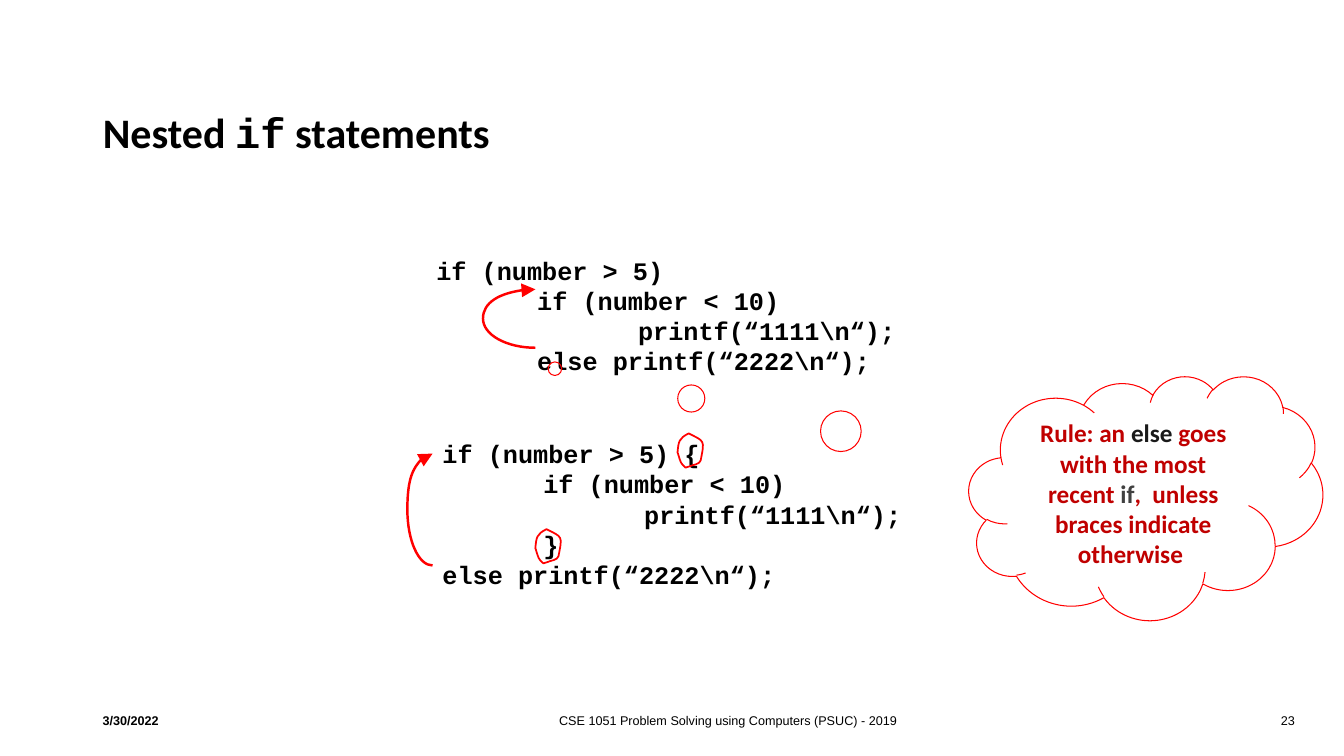
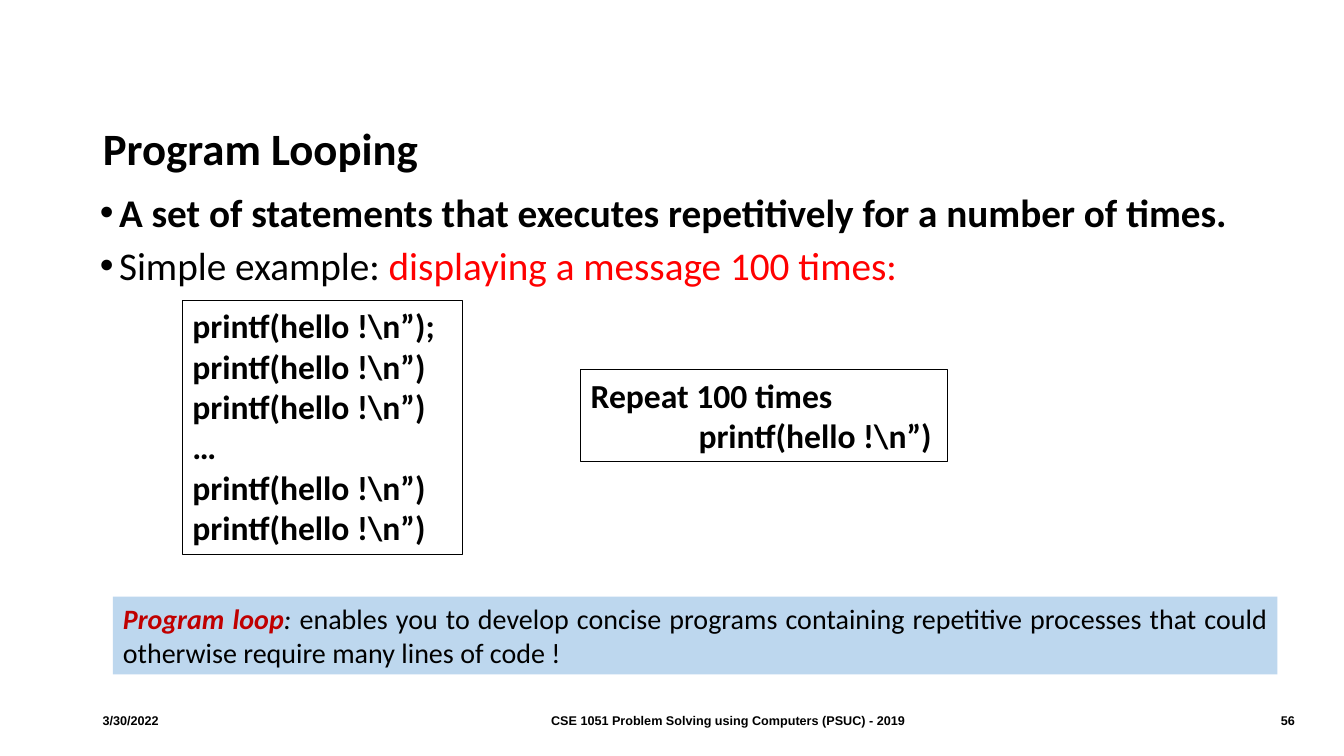
from dataclasses import dataclass

from lxml import etree
from pptx import Presentation
from pptx.dml.color import RGBColor
from pptx.enum.shapes import MSO_SHAPE
from pptx.enum.text import MSO_ANCHOR, MSO_AUTO_SIZE, PP_ALIGN
from pptx.oxml.ns import qn
from pptx.shapes.autoshape import Shape
from pptx.slide import Slide
from pptx.util import Inches, Pt

BLACK = RGBColor(0x00, 0x00, 0x00)
RED = RGBColor(0xFF, 0x00, 0x00)
DARK_RED = RGBColor(0xC0, 0x00, 0x00)
NEAR_BLACK = RGBColor(0x1A, 0x1A, 0x1A)
GREY = RGBColor(0x40, 0x40, 0x40)
PALE_BLUE = RGBColor(0xBD, 0xD7, 0xEE)

SANS, FOOTER_FONT, MONO = "Calibri", "Arial", "Courier New"
LEFT, CENTER, RIGHT, JUSTIFY = PP_ALIGN.LEFT, PP_ALIGN.CENTER, PP_ALIGN.RIGHT, PP_ALIGN.JUSTIFY
TOP, MIDDLE = MSO_ANCHOR.TOP, MSO_ANCHOR.MIDDLE
NO_AUTOSIZE = MSO_AUTO_SIZE.NONE
RECTANGLE, CLOUD = MSO_SHAPE.RECTANGLE, MSO_SHAPE.CLOUD_CALLOUT

TITLE_ONLY, TITLE_AND_BODY = 5, 1

Point = tuple[float, float]
Segment = tuple[Point, Point, Point]


@dataclass(frozen=True)
class Box:
    left: float
    top: float
    width: float
    height: float


@dataclass(frozen=True)
class Run:
    text: str
    color: RGBColor | None = None
    font: str | None = None
    bold: bool | None = None
    italic: bool = False


@dataclass(frozen=True)
class Line:
    runs: tuple[Run, ...]
    indent: float = 0


@dataclass(frozen=True)
class Curve:
    start: Point
    segments: tuple[Segment, ...]
    closed: bool


ELSE_ARROW = Curve((1, 1), (
    ((0.45, 1), (0, 0.78), (0, 0.5)),
    ((0, 0.22), (0.45, 0), (1, 0)),
), False)
BRACE_RING = Curve((0.41, 0), (
    ((1, 0.24), (1, 0.18), (0.85, 0.79)),
    ((0.81, 0.91), (0.56, 0.91), (0.41, 0.97)),
    ((0.37, 0.97), (0.3, 1), (0.3, 1)),
    ((0.11, 0.88), (0.11, 0.82), (0.04, 0.65)),
    ((0.04, 0.62), (0, 0.56), (0, 0.56)),
    ((0.04, 0.24), (0.04, 0.15), (0.41, 0)),
), True)

FOOTER_TEXT = "CSE 1051 Problem Solving using Computers (PSUC) - 2019"
FOOTER_TOP, FOOTER_HEIGHT = 6.95, 0.4


def plain(text: str, indent: float = 0) -> Line:
    return Line((Run(text),), indent)


def place(shape: Shape, box: Box) -> None:
    shape.left, shape.top = Inches(box.left), Inches(box.top)
    shape.width, shape.height = Inches(box.width), Inches(box.height)


def write(shape: Shape, lines: list[Line], *, size: float, font: str = SANS,
          color: RGBColor = BLACK, bold: bool = False, align: PP_ALIGN = LEFT,
          anchor: MSO_ANCHOR = TOP, spacing: float = 1, before: float = 0,
          bullet_indent: float = 0) -> None:
    frame = shape.text_frame
    frame.word_wrap = True
    frame.auto_size = NO_AUTOSIZE
    frame.vertical_anchor = anchor
    for number, line in enumerate(lines):
        paragraph = frame.add_paragraph() if number else frame.paragraphs[0]
        paragraph.alignment = align
        paragraph.line_spacing = spacing
        paragraph.space_before = Pt(before)
        properties = paragraph._p.get_or_add_pPr()
        if bullet_indent:
            properties.set("marL", str(Inches(bullet_indent)))
            properties.set("indent", str(-Inches(bullet_indent)))
            etree.SubElement(properties, qn("a:buFont")).set("typeface", FOOTER_FONT)
            etree.SubElement(properties, qn("a:buChar")).set("char", "•")
        elif line.indent:
            properties.set("marL", str(Inches(line.indent)))
        for part in line.runs:
            run = paragraph.add_run()
            run.text = part.text
            run.font.size = Pt(size)
            run.font.name = part.font or font
            run.font.bold = bold if part.bold is None else part.bold
            run.font.italic = part.italic
            run.font.color.rgb = part.color or color


def add_text(slide: Slide, box: Box, lines: list[Line], **text_format) -> None:
    label = slide.shapes.add_textbox(0, 0, 0, 0)
    place(label, box)
    write(label, lines, **text_format)


def style(shape: Shape, fill: RGBColor | None = None, outline: RGBColor | None = None,
          weight: float = 0.75) -> None:
    shape.shadow.inherit = False
    if fill is None:
        shape.fill.background()
    else:
        shape.fill.solid()
        shape.fill.fore_color.rgb = fill
    if outline is None:
        shape.line.fill.background()
    else:
        shape.line.color.rgb = outline
        shape.line.width = Pt(weight)


def add_panel(slide: Slide, box: Box, lines: list[Line], *, kind: MSO_SHAPE = RECTANGLE,
              fill: RGBColor | None = None, outline: RGBColor | None = None,
              **text_format) -> Shape:
    panel = slide.shapes.add_shape(kind, 0, 0, 0, 0)
    place(panel, box)
    style(panel, fill, outline)
    write(panel, lines, **text_format)
    return panel


def add_curve(slide: Slide, box: Box, curve: Curve, weight: float) -> None:
    width, height = Inches(box.width), Inches(box.height)
    corners = [(int(x * width), int(y * height))
               for x, y in (curve.start, *(segment[-1] for segment in curve.segments))]
    builder = slide.shapes.build_freeform(*corners[0])
    builder.add_line_segments(corners[1:], close=curve.closed)
    outline = builder.convert_to_shape()
    place(outline, box)
    style(outline, outline=RED, weight=weight)
    route = next(outline._element.iter(qn("a:path")))
    route.set("w", str(width))
    route.set("h", str(height))
    for straight, segment in zip(route.findall(qn("a:lnTo")), curve.segments):
        bend = etree.Element(qn("a:cubicBezTo"))
        for x, y in segment:
            point = etree.SubElement(bend, qn("a:pt"))
            point.set("x", str(int(x * width)))
            point.set("y", str(int(y * height)))
        route.replace(straight, bend)
    if not curve.closed:
        tail = etree.SubElement(outline.line._get_or_add_ln(), qn("a:tailEnd"))
        for key, setting in (("type", "triangle"), ("w", "lg"), ("len", "lg")):
            tail.set(key, setting)


def add_page(deck: Presentation, layout: int, number: int, title: Line, title_box: Box,
             title_size: float, bold_footer: bool) -> Slide:
    slide = deck.slides.add_slide(deck.slide_layouts[layout])
    place(slide.shapes.title, title_box)
    write(slide.shapes.title, [title], size=title_size, bold=True, anchor=MIDDLE, spacing=0.9)
    footers = (
        ("3/30/2022", 0.92, 1.26, LEFT, True),
        (FOOTER_TEXT, 2.42, 9.6, CENTER, bold_footer),
        (str(number), 12.42, 0.52, RIGHT, bold_footer),
    )
    for text, left, width, align, bold in footers:
        add_text(slide, Box(left, FOOTER_TOP, width, FOOTER_HEIGHT), [plain(text)],
                 size=9, font=FOOTER_FONT, bold=bold, align=align, anchor=MIDDLE)
    return slide


def build_nested_if(deck: Presentation) -> None:
    title = Line((Run("Nested "), Run("if", font=MONO), Run(" statements")))
    slide = add_page(deck, TITLE_ONLY, 23, title, Box(0.92, 1.06, 8.88, 0.56), 30, False)
    without_braces = [
        plain("if (number > 5)"),
        plain("if (number < 10)", 1),
        plain("printf(“1111\\n“);", 2),
        plain("else printf(“2222\\n“);", 1),
    ]
    with_braces = [
        plain("if (number > 5) {"),
        *without_braces[1:3],
        plain("}", 1),
        plain("else printf(“2222\\n“);"),
    ]
    for code_box, code, arrow_box in (
        (Box(4.23, 2.48, 4.94, 1.31), without_braces, Box(4.79, 2.87, 0.52, 0.58)),
        (Box(4.29, 4.3, 4.78, 1.62), with_braces, Box(4.04, 4.5, 0.25, 1.11)),
    ):
        add_text(slide, code_box, code, size=18, font=MONO, bold=True)
        add_curve(slide, arrow_box, ELSE_ARROW, 1.75)
    rule = Line((
        Run("Rule: an "), Run("else", NEAR_BLACK), Run(" goes with the most recent "),
        Run("if", GREY), Run(",  unless braces indicate otherwise "),
    ))
    cloud = add_panel(slide, Box(9.61, 3.73, 3.51, 2.42), [rule], kind=CLOUD, outline=RED,
                      size=18, color=DARK_RED, bold=True, align=CENTER)
    cloud.adjustments[0], cloud.adjustments[1] = -1.67, -0.53
    for left, top in ((6.72, 4.3), (5.31, 5.25)):
        add_curve(slide, Box(left, top, 0.27, 0.34), BRACE_RING, 1.25)


def build_looping(deck: Presentation) -> None:
    slide = add_page(deck, TITLE_AND_BODY, 56, plain("Program Looping"),
                     Box(0.92, 1.22, 8.86, 0.56), 32, True)
    body = slide.placeholders[1]
    place(body, Box(0.92, 1.88, 11.38, 1.09))
    frame = body.text_frame
    frame.margin_left = frame.margin_right = Inches(0.07)
    frame.margin_top = frame.margin_bottom = Inches(0.04)
    write(body, [
        Line((Run("A set of statements that executes repetitively for a number of times.",
                  bold=True),)),
        Line((Run("Simple example: "), Run("displaying a message 100 times:", RED))),
    ], size=28, align=JUSTIFY, spacing=0.9, before=7.5, bullet_indent=0.19)

    call = "printf(hello !\\n”)"
    repeated_calls = [plain(text) for text in (call + ";", call, call, "…", call, call)]
    loop = [plain("Repeat 100 times"), plain(call, 1.07)]
    for box, code in ((Box(1.81, 2.98, 2.78, 2.52), repeated_calls),
                      (Box(5.76, 3.67, 3.64, 0.91), loop)):
        add_panel(slide, box, code, outline=BLACK, size=24, bold=True)

    definition = Line((
        Run("Program loop", DARK_RED, bold=True, italic=True),
        Run(": ", italic=True),
        Run("enables you to develop concise programs containing repetitive processes "
            "that could otherwise require many lines of code ! "),
    ))
    add_panel(slide, Box(1.12, 5.92, 11.55, 0.77), [definition], fill=PALE_BLUE,
              size=20, align=JUSTIFY)


def main() -> None:
    deck = Presentation()
    deck.slide_width, deck.slide_height = Inches(13.33), Inches(7.5)
    build_nested_if(deck)
    build_looping(deck)
    deck.save("out.pptx")


if __name__ == "__main__":
    main()
